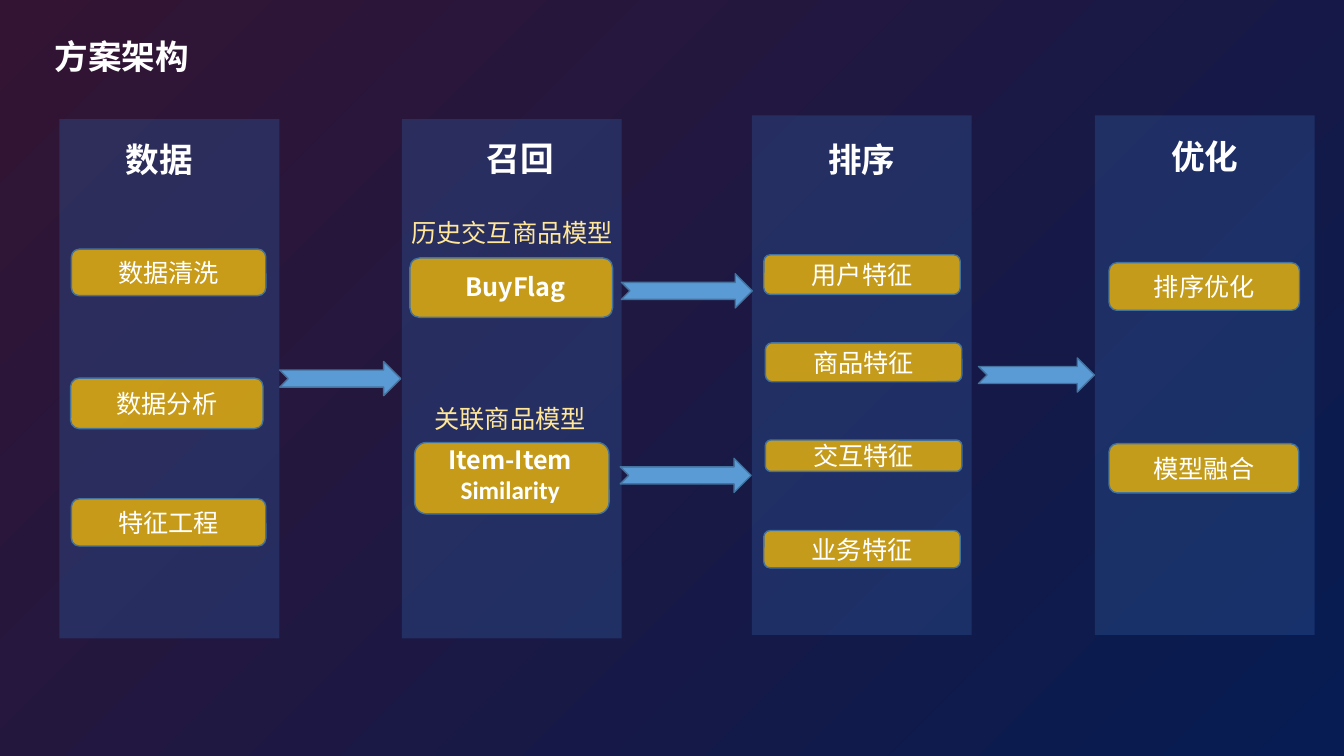
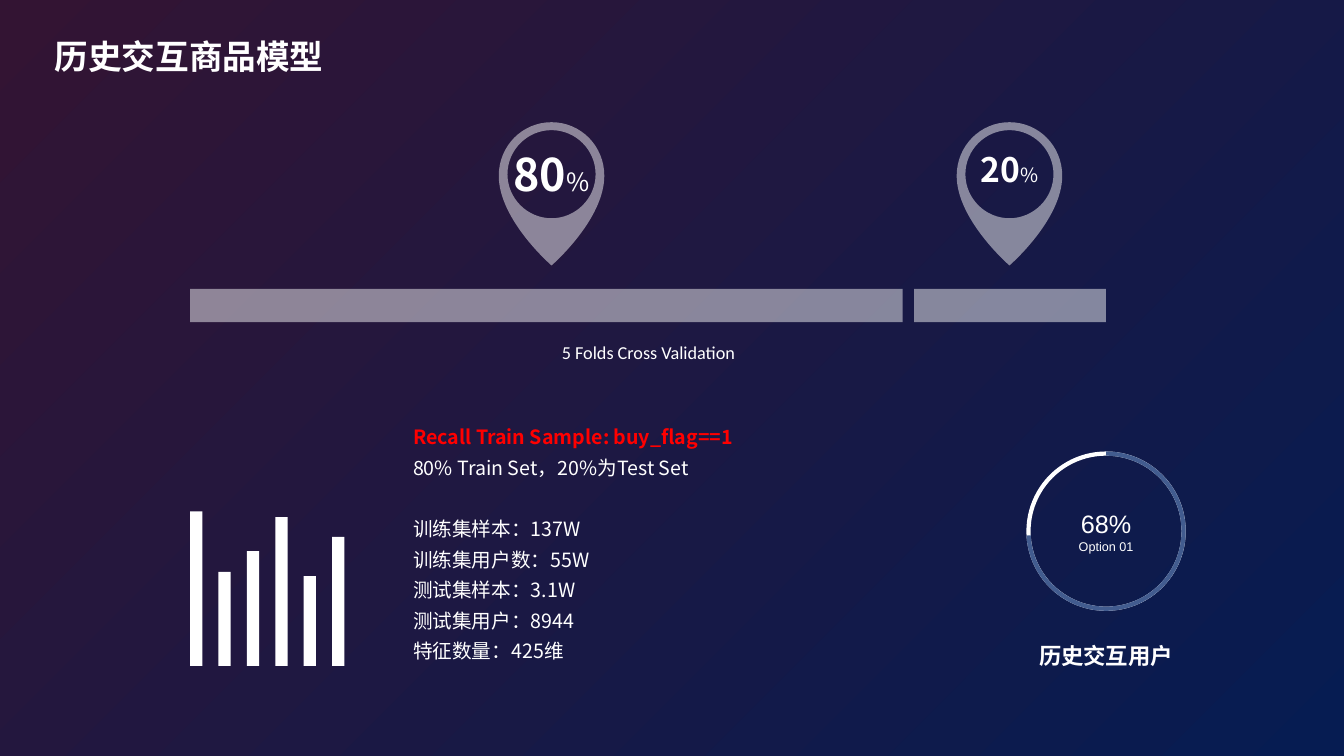
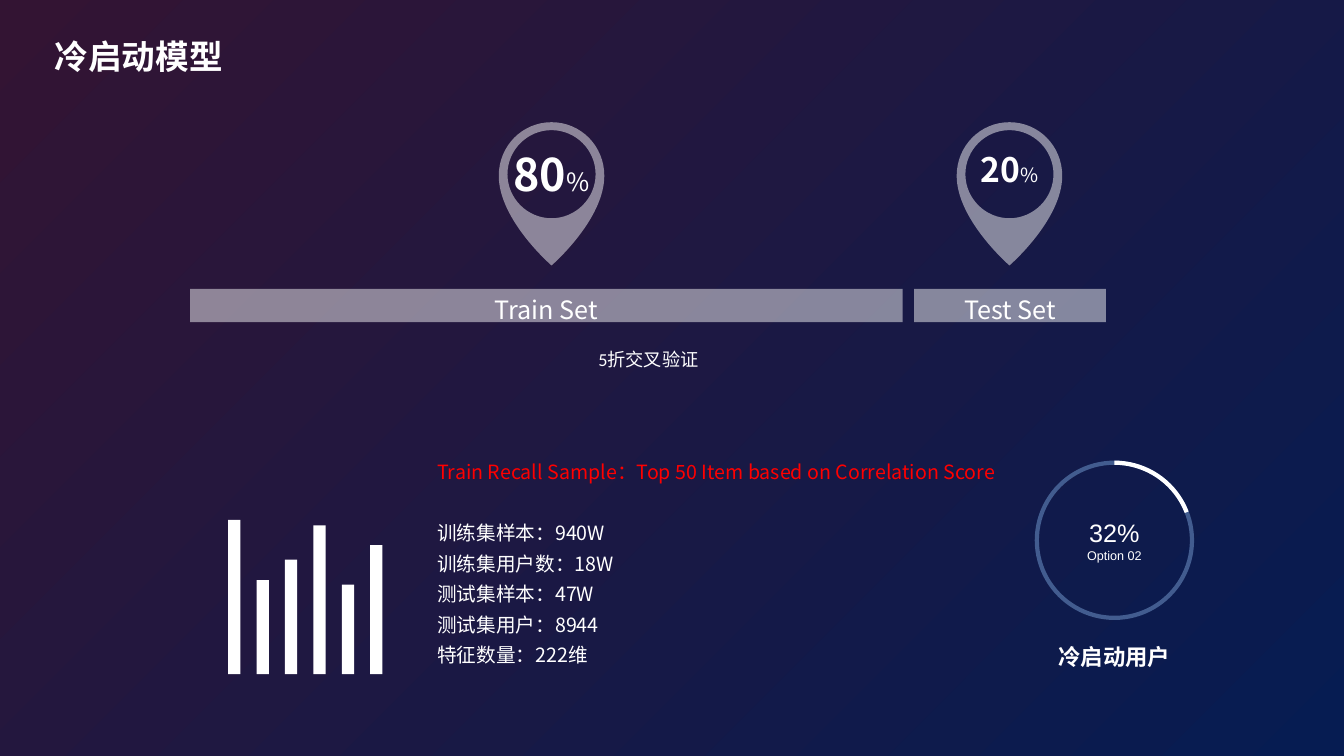
from dataclasses import dataclass, replace

from lxml.etree import SubElement
from pptx import Presentation
from pptx.dml.color import RGBColor
from pptx.enum.lang import MSO_LANGUAGE_ID as Language
from pptx.enum.shapes import MSO_SHAPE as Shape
from pptx.enum.text import MSO_ANCHOR as Anchor, PP_ALIGN as Align
from pptx.oxml.ns import qn
from pptx.util import Cm, Pt


@dataclass(frozen=True)
class Style:
    """Look of a paragraph."""
    size: int
    font: str = "Noto Sans CJK SC"
    color: str = "FFFFFF"
    bold: bool = False
    align: Align = Align.CENTER
    spacing: float = 1.0
    before: int = 0


@dataclass(frozen=True)
class Theme:
    """Colours and text styles shared by all slides."""
    back_start: str = "331433"
    back_end: str = "061C52"
    white: str = "FFFFFF"
    panel: str = "2F5597"
    node: str = "FFC202"
    outline: str = "43739E"
    arrow: str = "5B9BD5"
    ring: str = "425C8F"
    alert: str = "FF0000"
    title: Style = Style(24, "Calibri", bold=True, align=Align.LEFT)
    panel_title: Style = Style(24, bold=True)
    node_text: Style = Style(18)
    model_name: Style = Style(18, bold=True)
    model_label: Style = Style(18, color="FFE699")
    large_share: Style = Style(32, bold=True)
    small_share: Style = Style(24, bold=True)
    large_sign: int = 18
    small_sign: int = 14
    caption: Style = Style(13, "Calibri")
    body: Style = Style(14, align=Align.LEFT, spacing=1.3)
    body_gap: int = 22
    dial_value: Style = Style(18, "Arial")
    dial_option: Style = Style(9, "Arial")
    dial_caption: Style = Style(16, "Arial", bold=True)


THEME = Theme()


def write(frame, lines):
    """Fill a text frame with (text, style) lines and return its paragraphs."""
    for index, (text, style) in enumerate(lines):
        paragraph = frame.paragraphs[0] if index == 0 else frame.add_paragraph()
        paragraph.alignment = style.align
        paragraph.line_spacing = style.spacing
        paragraph.space_before = Pt(style.before)
        paragraph.add_run().text = text
        font = paragraph.font
        font.name = style.font
        font.size = Pt(style.size)
        font.bold = style.bold
        font.color.rgb = RGBColor.from_string(style.color)
        font.language_id = Language.SIMPLIFIED_CHINESE
    return frame.paragraphs


def add_text(slide, box, lines, wrap=True):
    """Add a text box and return its paragraphs."""
    frame = slide.shapes.add_textbox(*map(Cm, box)).text_frame
    frame.word_wrap = wrap
    return write(frame, lines)


def paint(shape, fill=None, alpha=100, line=None, width=1):
    """Set the fill, opacity and outline of a shape."""
    shape.shadow.inherit = False
    if fill:
        shape.fill.solid()
        shape.fill.fore_color.rgb = RGBColor.from_string(fill)
        if alpha < 100:
            color = shape.element.spPr.find(qn("a:solidFill"))[0]
            SubElement(color, qn("a:alpha")).set("val", str(alpha * 1000))
    else:
        shape.fill.background()
    if line:
        shape.line.color.rgb = RGBColor.from_string(line)
        shape.line.width = Pt(width)
    else:
        shape.line.fill.background()
    return shape


def add_shape(parent, kind, box, **look):
    """Add a painted preset shape to a slide or group."""
    return paint(parent.shapes.add_shape(kind, *map(Cm, box)), **look)


def new_slide(presentation, title):
    """Add a slide with the gradient background and its title."""
    slide = presentation.slides.add_slide(presentation.slide_layouts[6])
    fill = slide.background.fill
    fill.gradient()
    fill.gradient_angle = 315
    for stop, color in zip(fill.gradient_stops, (THEME.back_start, THEME.back_end)):
        stop.color.rgb = RGBColor.from_string(color)
    add_text(slide, (1.13, 0.79, 20.75, 1.3), [(title, THEME.title)])
    return slide


def add_node(slide, box, text=None):
    """Add a rounded gold node, with its text if any."""
    shape = add_shape(slide, Shape.ROUNDED_RECTANGLE, box,
                      fill=THEME.node, alpha=74, line=THEME.outline)
    if text:
        write(shape.text_frame, [(text, THEME.node_text)])


def add_panel(slide, left, top, title, title_box, nodes=()):
    """Add a stage panel with its title and nodes."""
    add_shape(slide, Shape.RECTANGLE, (left, top, 5.54, 13.09),
              fill=THEME.panel, alpha=38)
    title_left, title_top, title_width = title_box
    add_text(slide, (left + title_left, top + title_top, title_width, 1.27),
             [(title, THEME.panel_title)])
    for text, x, y, width, height in nodes:
        add_node(slide, (left + x, top + y, width, height), text)


def add_recall_models(slide, left, top):
    """Add the two labelled recall models to the panel at left, top."""
    add_node(slide, (left + 0.2, top + 3.5, 5.11, 1.5))
    add_node(slide, (left + 0.32, top + 8.15, 4.9, 1.8))
    add_text(slide, (left + 1.35, top + 3.71, 3.15, 1.02),
             [("BuyFlag", replace(THEME.model_name, align=Align.LEFT))])
    paragraph = add_text(slide, (left + 0.71, top + 8.07, 4.04, 1.8),
                         [("Item-Item ", THEME.model_name)])[0]
    run = paragraph.add_run()
    run.text = "Similarity"
    run.font.name = "Calibri"
    for text, x, y in (("历史交互商品模型", -1.57, 2.36), ("关联商品模型", -1.62, 7.04)):
        add_text(slide, (left + x, top + y, 8.69, 1.02),
                 [(text, THEME.model_label)])


def build_architecture(presentation):
    """Build the slide with the four stages of the solution."""
    slide = new_slide(presentation, "方案架构")
    add_panel(slide, 1.5, 3, "数据", (0.96, 0.38, 3.1), [
        ("数据清洗", 0.3, 3.28, 4.9, 1.17),
        ("数据分析", 0.28, 6.53, 4.85, 1.27),
        ("特征工程", 0.3, 9.57, 4.9, 1.19)])
    add_panel(slide, 10.13, 3, "召回", (1.43, 0.36, 3.1))
    add_recall_models(slide, 10.13, 3)
    add_panel(slide, 18.95, 2.91, "排序", (1.22, 0.47, 3.1), [
        ("用户特征", 0.3, 3.51, 4.95, 1),
        ("商品特征", 0.34, 5.73, 4.95, 0.98),
        ("交互特征", 0.34, 8.18, 4.95, 0.79),
        ("业务特征", 0.3, 10.46, 4.95, 0.94)])
    add_panel(slide, 27.59, 2.91, "优化", (1.06, 0.39, 3.43), [
        ("排序优化", 0.36, 3.71, 4.8, 1.2),
        ("模型融合", 0.36, 8.27, 4.78, 1.24)])
    for left, top, width in ((7.05, 9.11, 3.05), (15.66, 6.9, 3.3),
                             (15.63, 11.55, 3.3), (24.66, 9.02, 2.92)):
        add_shape(slide, Shape.NOTCHED_RIGHT_ARROW, (left, top, width, 0.86),
                  fill=THEME.arrow, line=THEME.outline)


def add_curved_shape(slide, contours):
    """Add a freeform whose points after each start are cubic triples."""
    builder = None
    for points in contours:
        start, *rest = [(Cm(x), Cm(y)) for x, y in points]
        if builder:
            builder.move_to(*start)
        else:
            builder = slide.shapes.build_freeform(*start)
        builder.add_line_segments(rest)
    shape = builder.convert_to_shape()
    segments = list(shape.element.iter(qn("a:lnTo")))
    for first, second, third in zip(*[iter(segments)] * 3):
        first.tag = qn("a:cubicBezTo")
        for segment in (second, third):
            first.append(segment[0])
            segment.getparent().remove(segment)
    return shape


def pin_contours(center, top):
    """Return the drop outline and the round hole of a map pin."""
    half, waist, height = 1.33, 1.35, 3.61
    left_side = [(0, 0), (-0.74, 0), (-half, 0.6), (-half, waist),
                 (-half, 2.46), (0, height), (0, height)]
    middle, radius, handle = 1.31, 1.11, 0.61
    left_hole = [(0, middle - radius), (-handle, middle - radius),
                 (-radius, middle - handle), (-radius, middle),
                 (-radius, middle + handle), (-handle, middle + radius),
                 (0, middle + radius)]
    return [[(center + x, top + y) for x, y in
             side + [(-x, y) for x, y in reversed(side[:-1])]]
            for side in (left_side, left_hole)]


def add_pin(slide, center, top, number, style, sign_size, box):
    """Add a map pin with a percentage in its hole."""
    paint(add_curved_shape(slide, pin_contours(center, top)),
          fill=THEME.white, alpha=48)
    x, y, width, height = box
    paragraph = add_text(slide, (center + x, top + y, width, height),
                         [(number, style)], wrap=False)[0]
    sign = paragraph.add_run()
    sign.text = "%"
    sign.font.size = Pt(sign_size)
    sign.font.bold = False


def add_split(slide, left, top, labels):
    """Add the train and test bands under their pins."""
    add_pin(slide, left + 9.11, top - 4.2, "80", THEME.large_share,
            THEME.large_sign, (-1.25, 0.48, 2.49, 1.63))
    add_pin(slide, left + 20.65, top - 4.2, "20", THEME.small_share,
            THEME.small_sign, (-1, 0.54, 2.01, 1.27))
    for shift, width, label in zip((0, 18.25), (17.96, 4.83), labels):
        band = add_shape(slide, Shape.RECTANGLE, (left + shift, top, width, 0.84),
                         fill=THEME.white, alpha=48)
        if label:
            band.text_frame.vertical_anchor = Anchor.TOP
            write(band.text_frame, [(label, THEME.node_text)])


def add_bars(slide, left, base):
    """Add the group of white bars standing on a base line."""
    group = slide.shapes.add_group_shape()
    span, heights = 3.58, (3.89, 2.37, 2.89, 3.75, 2.26, 3.25)
    pitch = span / (len(heights) - 1)
    for index, height in enumerate(heights):
        add_shape(group, Shape.RECTANGLE,
                  (left + index * pitch, base - height, 0.31, height),
                  fill=THEME.white)


def add_dial(slide, left, top, colors, sweep_end, value, option, caption, drop):
    """Add a ring with an arc over it, a value inside and a caption below."""
    size = 3.91
    ring_color, arc_color = colors
    box = (left, top, size, size)
    group = slide.shapes.add_group_shape()
    ring = add_shape(group, Shape.OVAL, box, line=ring_color, width=3)
    write(ring.text_frame, [(value, THEME.dial_value), (option, THEME.dial_option)])
    arc = add_shape(group, Shape.ARC, box, line=arc_color, width=3)
    arc.adjustments[1] = sweep_end
    add_text(slide, (left, top + drop, size, 0.94),
             [(caption, THEME.dial_caption)], wrap=False)


def add_sample_text(slide, box, heading, facts):
    """Add the heading lines and, after a gap, the sample counts."""
    names = ("训练集样本", "训练集用户数", "测试集样本", "测试集用户", "特征数量")
    lines = [(f"{name}：{fact}", THEME.body) for name, fact in zip(names, facts)]
    lines[0] = (lines[0][0], replace(THEME.body, before=THEME.body_gap))
    add_text(slide, box, heading + lines)


def build_history_model(presentation):
    """Build the slide on the model of past interactions."""
    slide = new_slide(presentation, "历史交互商品模型")
    add_text(slide, (1.14, 8.47, 30.4, 0.81),
             [("5 Folds Cross Validation", THEME.caption)])
    add_split(slide, 4.79, 7.28, ("", ""))
    add_sample_text(
        slide, (10.16, 10.41, 11.71, 6.4),
        [("Recall Train Sample: buy_flag==1",
          replace(THEME.body, color=THEME.alert, bold=True)),
         ("80% Train Set，20%为Test Set", THEME.body)],
        ("137W", "55W", "3.1W", "8944", "425维"))
    add_bars(slide, 4.79, 16.78)
    add_dial(slide, 25.92, 11.43, (THEME.white, THEME.ring), 106.11,
             "68%", "Option 01", "历史交互用户", 4.62)


def build_cold_start_model(presentation):
    """Build the slide on the cold start model."""
    slide = new_slide(presentation, "冷启动模型")
    add_text(slide, (1.14, 8.66, 30.4, 0.81), [("5折交叉验证", THEME.caption)])
    add_split(slide, 4.79, 7.28, ("Train Set", "Test Set"))
    add_sample_text(
        slide, (10.77, 11.28, 15.34, 5.64),
        [("Train Recall Sample：Top 50 Item based on Correlation Score",
          replace(THEME.body, color=THEME.alert))],
        ("940W", "18W", "47W", "8944", "222维"))
    add_bars(slide, 5.75, 16.99)
    add_dial(slide, 26.13, 11.66, (THEME.ring, THEME.white), 203.28,
             "32%", "Option 02", "冷启动用户", 4.42)


def main():
    """Build and save the presentation."""
    presentation = Presentation()
    presentation.slide_width = Cm(33.87)
    presentation.slide_height = Cm(19.05)
    build_architecture(presentation)
    build_history_model(presentation)
    build_cold_start_model(presentation)
    presentation.save("out.pptx")


if __name__ == "__main__":
    main()
